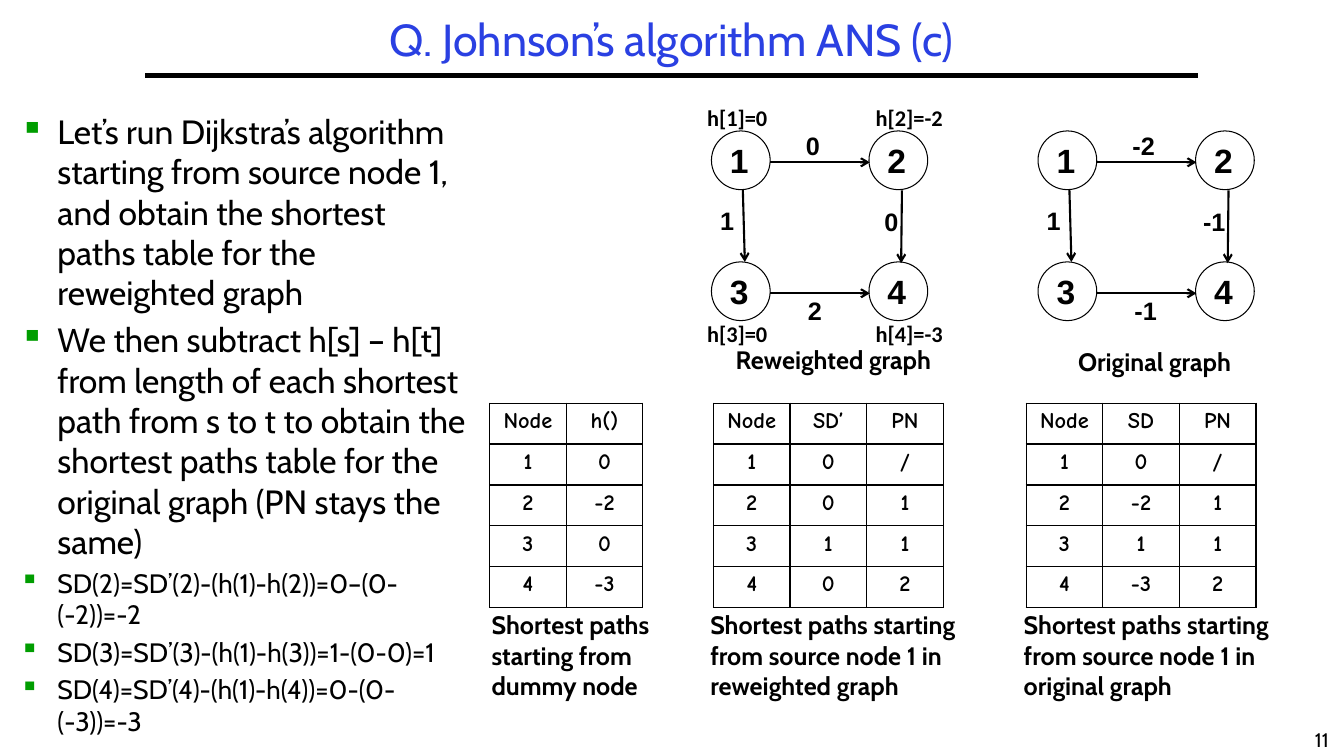
"""Build the slide on Johnson's algorithm: reweighted and original graphs with their tables."""
from lxml import etree
from pptx import Presentation
from pptx import util as u
from pptx.dml.color import RGBColor
from pptx.enum import shapes, text
from pptx.oxml import ns

BLACK, WHITE, BLUE, GREEN = "000000", "FFFFFF", "2A40E2", "009D00"
LEFT, CENTER = text.PP_ALIGN.LEFT, text.PP_ALIGN.CENTER
TOP, MIDDLE = text.MSO_ANCHOR.TOP, text.MSO_ANCHOR.MIDDLE

TITLE = "Q. Johnson’s algorithm ANS (c)"
PAGE_NUMBER = "11"
BULLETS = [
    ("Let’s run Dijkstra’s algorithm starting from source node 1, and obtain the "
     "shortest paths table for the reweighted graph", 24),
    ("We then subtract h[s] – h[t] from length of each shortest path from s to t to "
     "obtain the shortest paths table for the original graph (PN stays the same)", 24),
    ("SD(2)=SD’(2)-(h(1)-h(2))=0–(0-(-2))=-2", 19),
    ("SD(3)=SD’(3)-(h(1)-h(3))=1-(0-0)=1", 19),
    ("SD(4)=SD’(4)-(h(1)-h(4))=0-(0-(-3))=-3", 19),
]
TABLES = [
    {"left": 12.34, "caption": "Shortest paths starting from dummy node",
     "caption_box": (12.14, 4.72),
     "rows": ["Node h()", "1 0", "2 -2", "3 0", "4 -3"]},
    {"left": 17.98, "caption": "Shortest paths starting from source node 1 in reweighted graph",
     "caption_box": (17.65, 7.11),
     "rows": ["Node SD’ PN", "1 0 /", "2 0 1", "3 1 1", "4 0 2"]},
    {"left": 25.86, "caption": "Shortest paths starting from source node 1 in original graph",
     "caption_box": (25.55, 7.11),
     "rows": ["Node SD PN", "1 0 /", "2 -2 1", "3 1 1", "4 -3 2"]},
]
GRAPHS = [
    {"left": 17.93, "name": "Reweighted graph", "name_box": (18.29, 8.56, 5.79),
     "weights": ["0", "2", "1", "0"], "right_label": 4.11,
     "potentials": ["h[1]=0", "h[2]=-2", "h[3]=0", "h[4]=-3"]},
    {"left": 26.16, "name": "Original graph", "name_box": (26.92, 8.61, 4.72),
     "weights": ["-2", "-1", "1", "-1"], "right_label": 3.91, "potentials": []},
]
GRAPH_TOP, NODE_SIZE, COLUMN_STEP, ROW_STEP = 3.3, 1.48, 3.97, 3.3
EDGES = [(1.48, 0.79, 3.99, 0.79), (1.48, 4.09, 3.99, 4.09),
         (0.79, 1.48, 0.84, 3.3), (4.8, 1.5, 4.78, 3.33)]
TABLE_TOP, COLUMN_WIDTH, ROW_HEIGHT, CAPTION_TOP = 10.16, 1.93, 1.03, 15.24

presentation = Presentation()
presentation.slide_width, presentation.slide_height = u.Cm(33.87), u.Cm(19.05)
slide = presentation.slides.add_slide(presentation.slide_layouts[6])


def color(value):
    return RGBColor.from_string(value)


def add_xml(parent, tag, **attributes):
    return etree.SubElement(parent, ns.qn(tag), attributes)


def style(paragraph, size, font="Cabin", bold=False, fill=BLACK, align=LEFT):
    paragraph.alignment = align
    for run in paragraph.runs:
        run.font.name, run.font.size, run.font.bold = font, u.Pt(size), bold
        run.font.color.rgb = color(fill)


def add_text(words, left, top, width, height, size, wrap=True, anchor=TOP, **look):
    box = slide.shapes.add_textbox(*map(u.Cm, (left, top, width, height)))
    frame = box.text_frame
    frame.text, frame.word_wrap, frame.vertical_anchor = words, wrap, anchor
    style(frame.paragraphs[0], size, **look)
    return frame


def add_line(x1, y1, x2, y2, width, arrow=False):
    line = slide.shapes.add_connector(shapes.MSO_CONNECTOR.STRAIGHT, *map(u.Cm, (x1, y1, x2, y2)))
    line.line.color.rgb, line.line.width = color(BLACK), u.Pt(width)
    properties = line._element.spPr
    if arrow:
        add_xml(properties.find(ns.qn("a:ln")), "a:tailEnd", type="arrow")
    add_xml(properties, "a:effectLst")


def add_bullets():
    frame = add_text("", 0.25, 2.67, 11.81, 15.54, 24)
    for index, (words, size) in enumerate(BULLETS):
        paragraph = frame.add_paragraph() if index else frame.paragraphs[0]
        paragraph.text = words
        properties = paragraph._p.get_or_add_pPr()
        properties.set("marL", str(u.Cm(0.95)))
        properties.set("indent", str(-u.Cm(0.95)))
        add_xml(add_xml(properties, "a:buClr"), "a:srgbClr", val=GREEN)
        add_xml(properties, "a:buChar", char="▪")
        if index:
            paragraph.space_before = u.Pt(0.2 * size)
        style(paragraph, size)


def add_node(label, left, top):
    node = slide.shapes.add_shape(shapes.MSO_SHAPE.OVAL,
                                  *map(u.Cm, (left, top, NODE_SIZE, NODE_SIZE)))
    node.shadow.inherit = False
    node.fill.solid()
    node.fill.fore_color.rgb = color(WHITE)
    node.line.color.rgb, node.line.width = color(BLACK), u.Pt(0.75)
    frame = node.text_frame
    frame.text, frame.word_wrap, frame.vertical_anchor = label, False, MIDDLE
    style(frame.paragraphs[0], 24, "Arial", True)


def add_graph(graph):
    left = graph["left"]
    for index in range(4):
        row, column = divmod(index, 2)
        add_node(str(index + 1), left + column * COLUMN_STEP, GRAPH_TOP + row * ROW_STEP)
    for x1, y1, x2, y2 in EDGES:
        add_line(left + x1, GRAPH_TOP + y1, left + x2, GRAPH_TOP + y2, 1.5, True)
    label_places = [(2.13, -0.13), (2.18, 4.01), (-0.03, 1.75), (graph["right_label"], 1.78)]
    for weight, (x, y) in zip(graph["weights"], label_places):
        add_text(weight, left + x, GRAPH_TOP + y, 1.3, 1.02, 18, font="Arial", bold=True)
    for index, potential in enumerate(graph["potentials"]):
        row, column = divmod(index, 2)
        add_text(potential, left - 0.36 + column * 4.25, GRAPH_TOP - 0.81 + row * 5.46,
                 2.03 + column * 0.23, 0.94, 16, wrap=False, font="Calibri", bold=True)
    x, y, width = graph["name_box"]
    add_text(graph["name"], x, y, width, 1.02, 18, bold=True)


def format_cell(cell, words):
    cell.text = words
    style(cell.text_frame.paragraphs[0], 16, "Comic Neue", True, align=CENTER)
    properties = cell._tc.get_or_add_tcPr()
    for side in ("a:lnL", "a:lnR", "a:lnT", "a:lnB"):
        border = add_xml(properties, side, w=str(u.Pt(1)))
        add_xml(add_xml(border, "a:solidFill"), "a:srgbClr", val=BLACK)
    cell.fill.background()


def add_path_table(content):
    rows = [row.split() for row in content["rows"]]
    columns = len(rows[0])
    table = slide.shapes.add_table(
        len(rows), columns, u.Cm(content["left"]), u.Cm(TABLE_TOP),
        u.Cm(columns * COLUMN_WIDTH), u.Cm(len(rows) * ROW_HEIGHT)).table
    table.first_row = table.horz_banding = False
    for column in table.columns:
        column.width = u.Cm(COLUMN_WIDTH)
    for row_index, row in enumerate(rows):
        table.rows[row_index].height = u.Cm(ROW_HEIGHT)
        for column_index, words in enumerate(row):
            format_cell(table.cell(row_index, column_index), words)
    left, width = content["caption_box"]
    add_text(content["caption"], left, CAPTION_TOP, width, 2.57, 18, bold=True)


def main():
    add_text(PAGE_NUMBER, 32.77, 18.21, 1.09, 0.84, 14, wrap=False, align=CENTER)
    add_line(3.66, 1.9, 30.2, 1.9, 3)
    title = add_text(TITLE, 1.4, -0.56, 31.06, 3.23, 32, anchor=MIDDLE, fill=BLUE, align=CENTER)
    title.paragraphs[0].line_spacing = 0.9
    add_bullets()
    for content in TABLES:
        add_path_table(content)
    for graph in GRAPHS:
        add_graph(graph)
    presentation.save("out.pptx")


if __name__ == "__main__":
    main()
